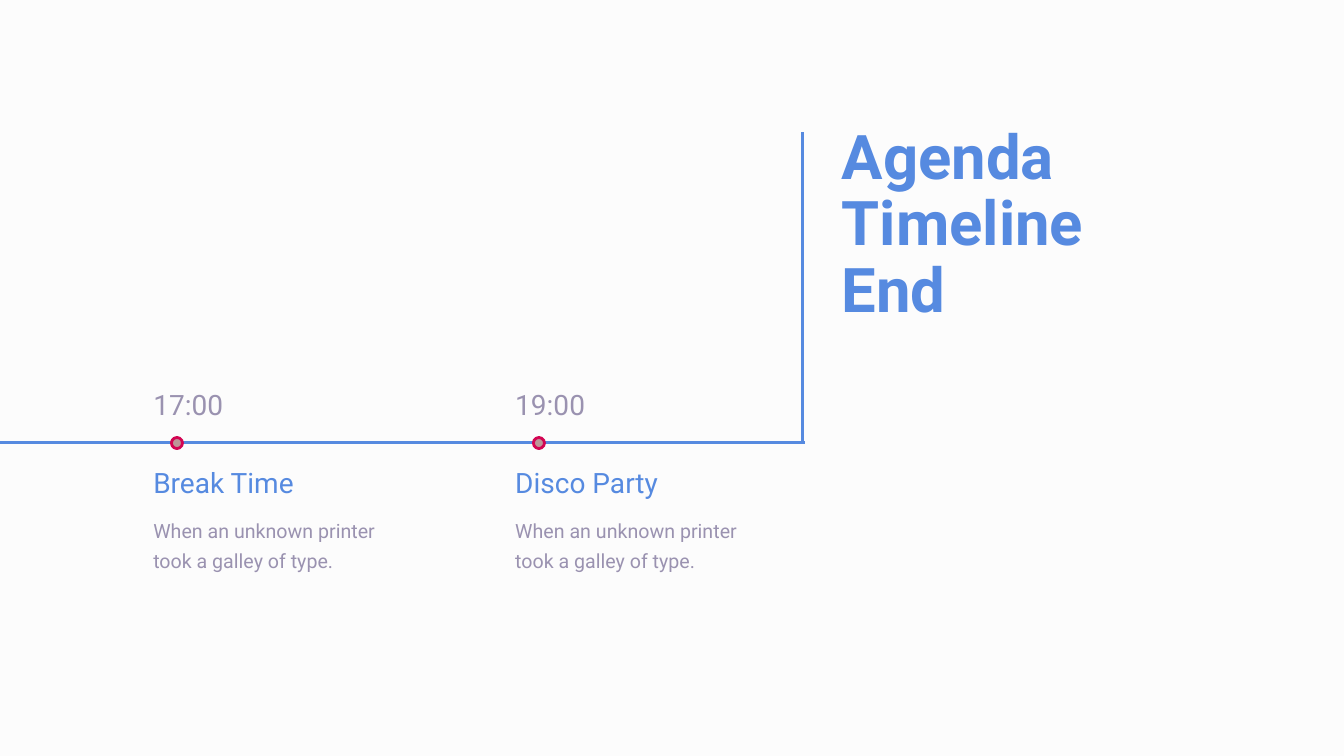
from dataclasses import dataclass

from lxml import etree
from pptx import Presentation
from pptx.dml.color import RGBColor
from pptx.enum.shapes import MSO_CONNECTOR, MSO_SHAPE
from pptx.enum.text import MSO_AUTO_SIZE
from pptx.oxml.ns import qn
from pptx.util import Inches, Pt

STRAIGHT = MSO_CONNECTOR.STRAIGHT
OVAL = MSO_SHAPE.OVAL
NO_AUTOFIT = MSO_AUTO_SIZE.NONE


@dataclass(frozen=True)
class Theme:
    font: str = "Roboto"
    background: RGBColor = RGBColor(0xFC, 0xFC, 0xFC)
    accent: RGBColor = RGBColor(0x56, 0x8A, 0xE0)
    muted: RGBColor = RGBColor(0x9A, 0x92, 0xB0)
    marker_fill: RGBColor = RGBColor(0xBD, 0x96, 0x98)
    marker_line: RGBColor = RGBColor(0xD3, 0x05, 0x53)
    title_size: int = 44
    heading_size: int = 20
    body_size: int = 14
    stroke: int = 2


THEME = Theme()
SLIDE_WIDTH, SLIDE_HEIGHT = 13.33, 7.5
AXIS_TOP = 4.39
CORNER_LEFT = 7.96
FIRST_EVENT_LEFT = 1.47
EVENT_STEP = 3.59
EVENT_WIDTH = 2.58
EVENTS = [
    ("17:00", "Break Time", "When an unknown printer took a galley of type."),
    ("19:00", "Disco Party", "When an unknown printer took a galley of type."),
]


def add_text_frame(slide, left, top, width, height):
    shape = slide.shapes.add_textbox(Inches(left), Inches(top), Inches(width), Inches(height))
    frame = shape.text_frame
    frame.word_wrap = True
    frame.auto_size = NO_AUTOFIT
    frame.margin_left = frame.margin_right = Inches(0.05)
    frame.margin_top = frame.margin_bottom = Inches(0.05)
    return frame


def write_paragraph(paragraph, text, size, color, spacing, bold=False):
    paragraph.line_spacing = spacing
    run = paragraph.add_run()
    run.text = text
    run.font.name = THEME.font
    run.font.size = Pt(size)
    run.font.bold = bold
    run.font.color.rgb = color


def add_line(slide, start, end):
    line = slide.shapes.add_connector(
        STRAIGHT, *(Inches(length) for length in (*start, *end)))
    line.line.color.rgb = THEME.accent
    line.line.width = Pt(THEME.stroke)
    properties = line._element.find(qn("p:spPr"))
    etree.SubElement(properties, qn("a:effectLst"))


def add_title(slide, left, top, width, height, lines):
    frame = add_text_frame(slide, left, top, width, height)
    for index, text in enumerate(lines):
        paragraph = frame.add_paragraph() if index else frame.paragraphs[0]
        write_paragraph(paragraph, text, THEME.title_size, THEME.accent, 0.9, bold=True)


def add_axis(slide, right, top, bottom):
    add_line(slide, (right + 0.02, bottom), (0, bottom))
    add_line(slide, (right, top), (right, bottom + 0.01))


def add_event(slide, left, axis_top, width, time, heading, description):
    time_frame = add_text_frame(slide, left, axis_top - 0.5, width, 0.36)
    write_paragraph(time_frame.paragraphs[0], time,
                    THEME.heading_size, THEME.muted, Pt(17))

    detail_frame = add_text_frame(slide, left, axis_top + 0.28, width, 1.04)
    write_paragraph(detail_frame.paragraphs[0], heading,
                    THEME.heading_size, THEME.accent, Pt(17))
    paragraph = detail_frame.add_paragraph()
    paragraph.space_before = Pt(10)
    write_paragraph(paragraph, description, THEME.body_size, THEME.muted, 1.25)

    marker = slide.shapes.add_shape(
        OVAL, Inches(left + 0.23), Inches(axis_top - 0.05), Inches(0.11), Inches(0.11))
    marker.shadow.inherit = False
    marker.fill.solid()
    marker.fill.fore_color.rgb = THEME.marker_fill
    marker.line.color.rgb = THEME.marker_line
    marker.line.width = Pt(THEME.stroke)


def build_agenda_slide(presentation):
    slide = presentation.slides.add_slide(presentation.slide_layouts[6])
    slide.background.fill.solid()
    slide.background.fill.fore_color.rgb = THEME.background
    title_left = 8.3
    add_axis(slide, CORNER_LEFT, 1.31, AXIS_TOP)
    add_title(slide, title_left, 1.2, SLIDE_WIDTH - title_left, 2.12,
              ["Agenda", "Timeline", "End"])
    for index, event in enumerate(EVENTS):
        add_event(slide, FIRST_EVENT_LEFT + index * EVENT_STEP, AXIS_TOP, EVENT_WIDTH, *event)


def main():
    presentation = Presentation()
    presentation.slide_width = Inches(SLIDE_WIDTH)
    presentation.slide_height = Inches(SLIDE_HEIGHT)
    build_agenda_slide(presentation)
    presentation.save("out.pptx")


if __name__ == "__main__":
    main()
